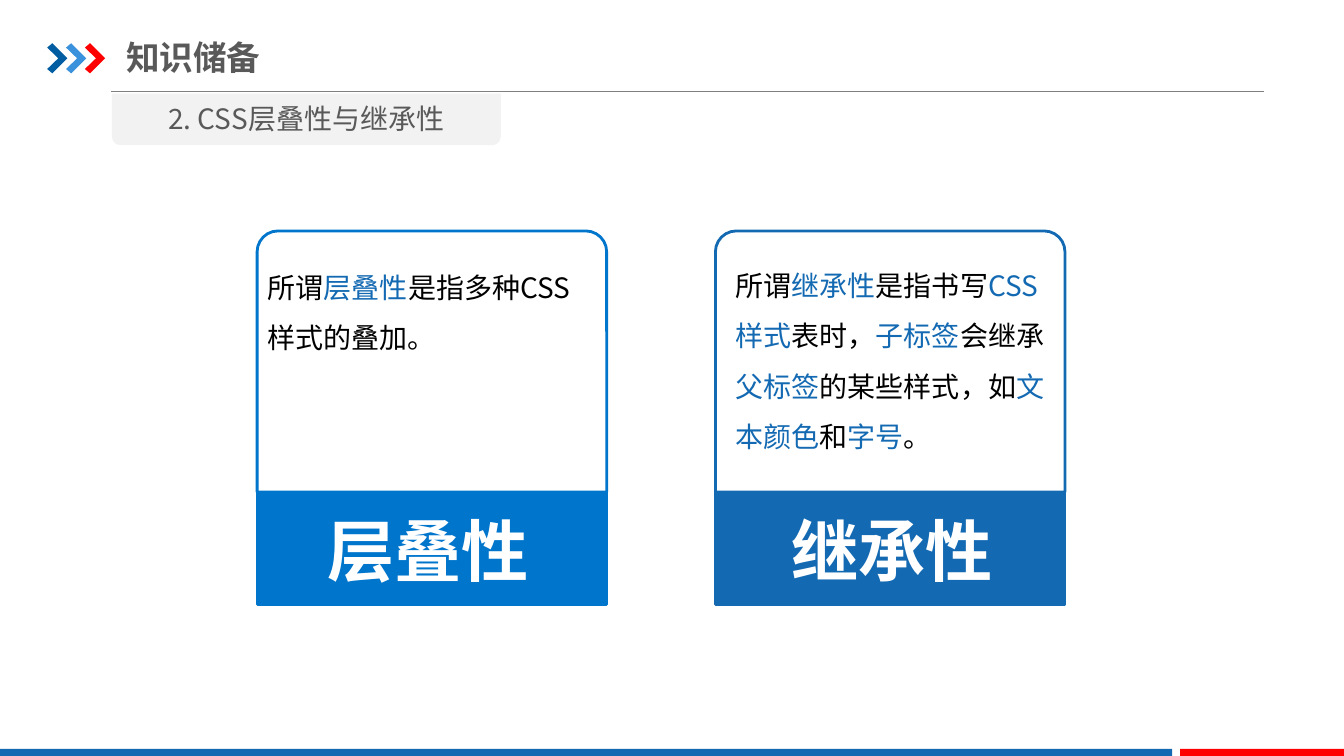
from dataclasses import dataclass

from lxml import etree
from pptx import Presentation
from pptx import util as u
from pptx.dml.color import RGBColor
from pptx.enum import shapes, text
from pptx.oxml import ns

FONT = "Noto Sans CJK SC"
BLUE = RGBColor(0x13, 0x69, 0xB2)
BRIGHT_BLUE = RGBColor(0x00, 0x75, 0xCC)
DEEP_BLUE = RGBColor(0x00, 0x5D, 0xA2)
LIGHT_BLUE = RGBColor(0x39, 0x92, 0xDB)
RED = RGBColor(0xFF, 0x00, 0x00)
WHITE = RGBColor(0xFF, 0xFF, 0xFF)
BLACK = RGBColor(0x00, 0x00, 0x00)
DARK_GRAY = RGBColor(0x59, 0x59, 0x59)
RULE_GRAY = RGBColor(0x80, 0x80, 0x80)
PALE_GRAY = RGBColor(0xF2, 0xF2, 0xF2)

CARD_TOP, CARD_WIDTH, CARD_HEIGHT = 5.82, 8.81, 6.58
BANNER_HEIGHT = 2.83
CHEVRON_LEFT, CHEVRON_TOP, CHEVRON_STEP = 1.19, 1.09, 0.475
CHEVRON = [(0, 0.11), (0.13, 0), (0.51, 0.38), (0.13, 0.76), (0, 0.65), (0.28, 0.38)]


@dataclass(frozen=True)
class Frame:
    left: float
    top: float
    width: float
    height: float

    def lengths(self) -> tuple:
        return tuple(u.Cm(v) for v in (self.left, self.top, self.width, self.height))


@dataclass(frozen=True)
class Card:
    left: float
    color: RGBColor
    name: str
    name_left: float
    body: Frame
    pieces: tuple[str, ...]


CARDS = [
    Card(6.48, BRIGHT_BLUE, "层叠性", 8.0, Frame(6.5, 6.27, 8.76, 2.82),
         ("所谓", "层叠性", "是指多种CSS样式的叠加。")),
    Card(18.03, BLUE, "继承性", 19.69, Frame(18.29, 6.22, 8.46, 5.38),
         ("所谓", "继承性", "是指书写", "CSS样式", "表时，", "子标签", "会继承",
          "父标签", "的某些样式，如", "文本颜色", "和", "字号", "。")),
]


def style_span(span, size: float, color: RGBColor, bold: bool = False) -> None:
    span.font.size = u.Pt(size)
    span.font.bold = bold
    span.font.color.rgb = color
    span.font.name = FONT
    east_asian = etree.SubElement(span.font._element, ns.qn("a:ea"))
    east_asian.set("typeface", FONT)


def paint(shape, fill: RGBColor, line: RGBColor | None = None) -> None:
    shape.shadow.inherit = False
    shape.fill.solid()
    shape.fill.fore_color.rgb = fill
    if line is None:
        shape.line.fill.background()
    else:
        shape.line.color.rgb = line
        shape.line.width = u.Pt(2)


def add_block(page, kind, frame: Frame, fill: RGBColor, line: RGBColor | None = None):
    block = page.shapes.add_shape(kind, *frame.lengths())
    paint(block, fill, line)
    return block


def add_text(page, frame: Frame, words: str, size: float, color: RGBColor,
             bold: bool = False, wrap: bool = True):
    box = page.shapes.add_textbox(*frame.lengths())
    box.text_frame.word_wrap = wrap
    box.text_frame.text = words
    para = box.text_frame.paragraphs[0]
    style_span(para.runs[0], size, color, bold)
    return para


def add_title(page) -> None:
    title = page.shapes.title
    title.left, title.top, title.width, title.height = Frame(3.18, 0.74, 10.82, 1.4).lengths()
    frame = title.text_frame
    frame.text = "知识储备"
    frame.auto_size = text.MSO_AUTO_SIZE.NONE
    frame.vertical_anchor = text.MSO_ANCHOR.MIDDLE
    frame.margin_left = frame.margin_right = 0
    frame.paragraphs[0].alignment = text.PP_ALIGN.LEFT
    style_span(frame.paragraphs[0].runs[0], 24, DARK_GRAY, True)


def add_header(page) -> None:
    rule = page.shapes.add_connector(
        shapes.MSO_CONNECTOR.STRAIGHT, u.Cm(2.79), u.Cm(2.31), u.Cm(31.85), u.Cm(2.31))
    rule.line.color.rgb = RULE_GRAY
    rule.line.width = u.Pt(0.75)
    etree.SubElement(rule._element.spPr, ns.qn("a:effectLst"))
    for index, color in enumerate((DEEP_BLUE, LIGHT_BLUE, RED)):
        left = CHEVRON_LEFT + index * CHEVRON_STEP
        points = [(u.Cm(left + x), u.Cm(CHEVRON_TOP + y)) for x, y in CHEVRON]
        builder = page.shapes.build_freeform(*points[0])
        builder.add_line_segments(points[1:], close=True)
        paint(builder.convert_to_shape(), color)


def add_section(page) -> None:
    tab = add_block(page, shapes.MSO_SHAPE.ROUND_2_SAME_RECTANGLE,
                    Frame(2.82, 2.36, 9.8, 1.3), PALE_GRAY)
    tab.rotation = 180
    para = add_text(page, Frame(2.82, 2.44, 9.8, 1.12), "2. CSS层叠性与继承性", 20, DARK_GRAY)
    para.alignment = text.PP_ALIGN.CENTER


def add_card(page, card: Card) -> None:
    panel = add_block(page, shapes.MSO_SHAPE.ROUND_2_SAME_RECTANGLE,
                      Frame(card.left, CARD_TOP, CARD_WIDTH, CARD_HEIGHT), WHITE, card.color)
    panel.adjustments[0] = 0.08
    panel.adjustments[1] = 0
    fill_color = panel._element.spPr.find(ns.qn("a:solidFill"))[0]
    etree.SubElement(fill_color, ns.qn("a:alpha")).set("val", "90000")
    banner = Frame(card.left, CARD_TOP + CARD_HEIGHT, CARD_WIDTH, BANNER_HEIGHT)
    add_block(page, shapes.MSO_SHAPE.RECTANGLE, banner, card.color, card.color)
    para = add_text(page, card.body, card.pieces[0], 20, BLACK)
    para.line_spacing = 1.5
    for index, piece in enumerate(card.pieces[1:], 1):
        span = para.add_run()
        span.text = piece
        style_span(span, 20, BLUE if index % 2 else BLACK)
    add_text(page, Frame(card.name_left, 12.7, 5.64, 2.31), card.name, 48, WHITE, True, False)


def main() -> None:
    deck = Presentation()
    deck.slide_width, deck.slide_height = u.Cm(33.87), u.Cm(19.05)
    page = deck.slides.add_slide(deck.slide_layouts.get_by_name("Title Only"))
    add_header(page)
    for left, width, color in ((0, 29.54, BLUE), (29.74, 4.13, RED)):
        add_block(page, shapes.MSO_SHAPE.RECTANGLE, Frame(left, 18.87, width, 0.18), color)
    add_title(page)
    add_section(page)
    for card in CARDS:
        add_card(page, card)
    deck.save("out.pptx")


if __name__ == "__main__":
    main()
